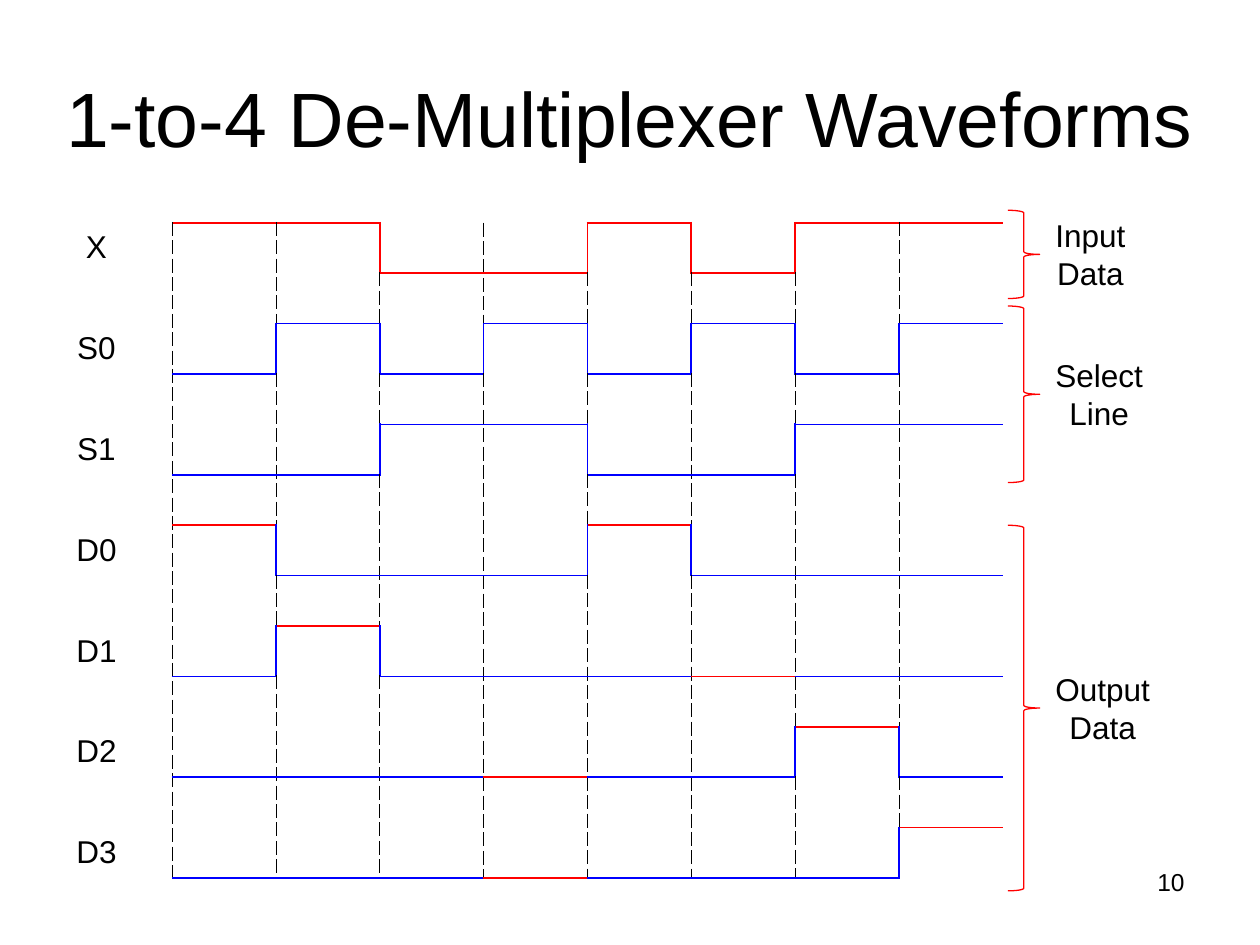
from dataclasses import dataclass

from lxml.etree import SubElement
from pptx import Presentation
from pptx.dml.color import RGBColor
from pptx.enum.shapes import MSO_SHAPE as Shape
from pptx.enum.text import MSO_ANCHOR as Anchor, MSO_AUTO_SIZE as AutoSize, PP_ALIGN as Align
from pptx.oxml.ns import qn
from pptx.util import Cm, Pt


@dataclass(frozen=True)
class Theme:
    """Colours, font and sizes of the slide."""
    font: str = "Arial"
    text: str = "000000"
    paper: str = "FFFFFF"
    red: str = "FF0000"
    blue: str = "0000FF"
    title_size: float = 44
    label_size: float = 18
    number_size: float = 14
    wave_width: float = 1.08
    grid_width: float = 0.45
    brace_width: float = 0.75


THEME = Theme()
NO_TABLE_STYLE = "{2D5ABB26-0587-4C30-8999-92F81FD0307C}"


@dataclass(frozen=True)
class Signal:
    """A waveform with one level per time slot."""
    name: str
    levels: str
    high: str = THEME.red
    low: str = THEME.blue
    edge: str = THEME.blue
    red_slots: tuple = ()


SIGNALS = [
    Signal("X", "11001011", low=THEME.red, edge=THEME.red),
    Signal("S0", "01010101", high=THEME.blue),
    Signal("S1", "00110011", high=THEME.blue),
    Signal("D0", "10001000"),
    Signal("D1", "01000000", red_slots=(5,)),
    Signal("D2", "00000010", red_slots=(3,)),
    Signal("D3", "00000001", red_slots=(3,)),
]
SLOTS = len(SIGNALS[0].levels)

GROUPS = [
    ("Input\nData", 4.24, 1.78, 1.92),
    ("Select\nLine", 6.17, 3.56, 2.28),
    ("Output\nData", 10.59, 7.37, 2.42),
]


def format_text(text_frame, size, alignment):
    """Apply the theme font to every paragraph."""
    for paragraph in text_frame.paragraphs:
        paragraph.alignment = alignment
        for run in paragraph.runs:
            run.font.name = THEME.font
            run.font.size = Pt(size)
            run.font.color.rgb = RGBColor.from_string(THEME.text)


def add_title(slide, left, top, width, height):
    """Place and format the title placeholder."""
    title = slide.shapes.title
    title.left, title.top, title.width, title.height = left, top, width, height
    title.text_frame.text = "1-to-4 De-Multiplexer Waveforms"
    title.text_frame.vertical_anchor = Anchor.MIDDLE
    format_text(title.text_frame, THEME.title_size, Align.CENTER)


def add_text(slide, text, left, top, width, height, size, alignment):
    """Add a text box and return its text frame."""
    text_frame = slide.shapes.add_textbox(left, top, width, height).text_frame
    text_frame.word_wrap = True
    text_frame.text = text
    format_text(text_frame, size, alignment)
    return text_frame


def level_line(boundary, slot):
    """Return the colour of a horizontal wave line, or None."""
    signal = SIGNALS[boundary // 2]
    is_high = boundary % 2 == 0
    if (signal.levels[slot] == "1") != is_high:
        return None
    if slot in signal.red_slots:
        return THEME.red
    return signal.high if is_high else signal.low


def time_line(row, slot):
    """Return colour and dashing of the vertical line where a slot begins."""
    signal = SIGNALS[row // 2]
    is_edge = row % 2 == 0 and slot > 0 and signal.levels[slot - 1] != signal.levels[slot]
    return (signal.edge, False) if is_edge else (THEME.text, True)


def set_border(cell, side, colour, dashed=False):
    """Draw one border of a cell, or none if there is no colour."""
    line = SubElement(cell._tc.get_or_add_tcPr(), qn(f"a:ln{side}"))
    if colour is None:
        SubElement(line, qn("a:noFill"))
        return
    line.set("w", str(Pt(THEME.grid_width if dashed else THEME.wave_width)))
    SubElement(SubElement(line, qn("a:solidFill")), qn("a:srgbClr")).set("val", colour)
    SubElement(line, qn("a:prstDash")).set("val", "dash" if dashed else "solid")


def format_cell(cell, row, column):
    """Set the borders and fill of a cell of the timing table."""
    slot = column - 1
    is_label = column == 0
    nothing = (None, False)
    set_border(cell, "L", *(nothing if is_label else time_line(row, slot)))
    set_border(cell, "R", *(nothing if column == SLOTS else time_line(row, column)))
    set_border(cell, "T", None if is_label else level_line(row, slot))
    set_border(cell, "B", None if is_label else level_line(row + 1, slot))
    cell.fill.solid()
    cell.fill.fore_color.rgb = RGBColor.from_string(THEME.paper)
    cell.margin_top = cell.margin_bottom = 0
    cell.vertical_anchor = Anchor.MIDDLE


def add_waveforms(slide, left, top, width, height, label_width):
    """Add the timing table: one row per signal with a gap row between."""
    row_count = 2 * len(SIGNALS) - 1
    frame = slide.shapes.add_table(row_count, SLOTS + 1, left, top, width, height)
    table = frame.table
    table.first_row = table.horz_banding = False
    next(frame.element.iter(qn("a:tableStyleId"))).text = NO_TABLE_STYLE
    for index, column in enumerate(table.columns):
        column.width = int((width - label_width) / SLOTS) if index else label_width
    for row_index, row in enumerate(table.rows):
        row.height = int(height / row_count)
        for column_index, cell in enumerate(row.cells):
            format_cell(cell, row_index, column_index)
    for index, signal in enumerate(SIGNALS):
        cell = table.cell(2 * index, 0)
        cell.text_frame.text = signal.name
        format_text(cell.text_frame, THEME.label_size, Align.CENTER)


def add_group(slide, text, left, top, height, label_width):
    """Add a brace with its label centred beside it."""
    brace_width, label_height = Cm(0.64), Cm(1.78)
    brace = slide.shapes.add_shape(Shape.RIGHT_BRACE, left, top, brace_width, height)
    brace.shadow.inherit = False
    brace.fill.background()
    brace.line.color.rgb = RGBColor.from_string(THEME.red)
    brace.line.width = Pt(THEME.brace_width)
    label_top = top + int((height - label_height) / 2)
    label = add_text(slide, text, left + brace_width + Cm(0.06), label_top,
                     label_width, label_height, THEME.label_size, Align.CENTER)
    label.word_wrap = False
    label.auto_size = AutoSize.SHAPE_TO_FIT_TEXT


def main():
    """Build and save the slide."""
    presentation = Presentation()
    presentation.slide_width, presentation.slide_height = Cm(25.4), Cm(19.05)
    slide = presentation.slides.add_slide(presentation.slide_layouts[5])
    add_title(slide, 0, Cm(0.76), Cm(25.4), Cm(3.18))
    add_text(slide, "10", Cm(18.21), Cm(17.35), Cm(5.92), Cm(1.32),
             THEME.number_size, Align.RIGHT)
    add_waveforms(slide, Cm(0.42), Cm(4.49), Cm(19.8), Cm(13.21), Cm(3.05))
    for text, top, height, label_width in GROUPS:
        add_group(slide, text, Cm(20.32), Cm(top), Cm(height), Cm(label_width))
    presentation.save("out.pptx")


if __name__ == "__main__":
    main()
